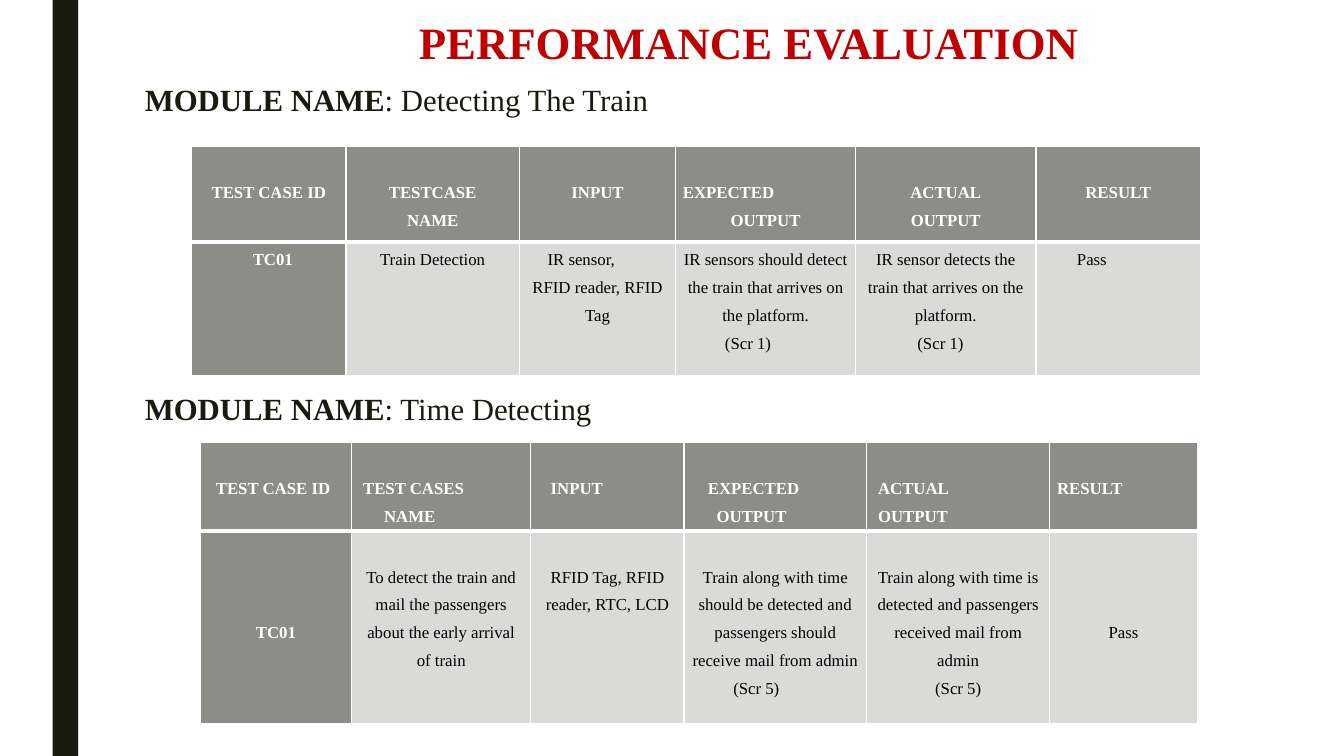
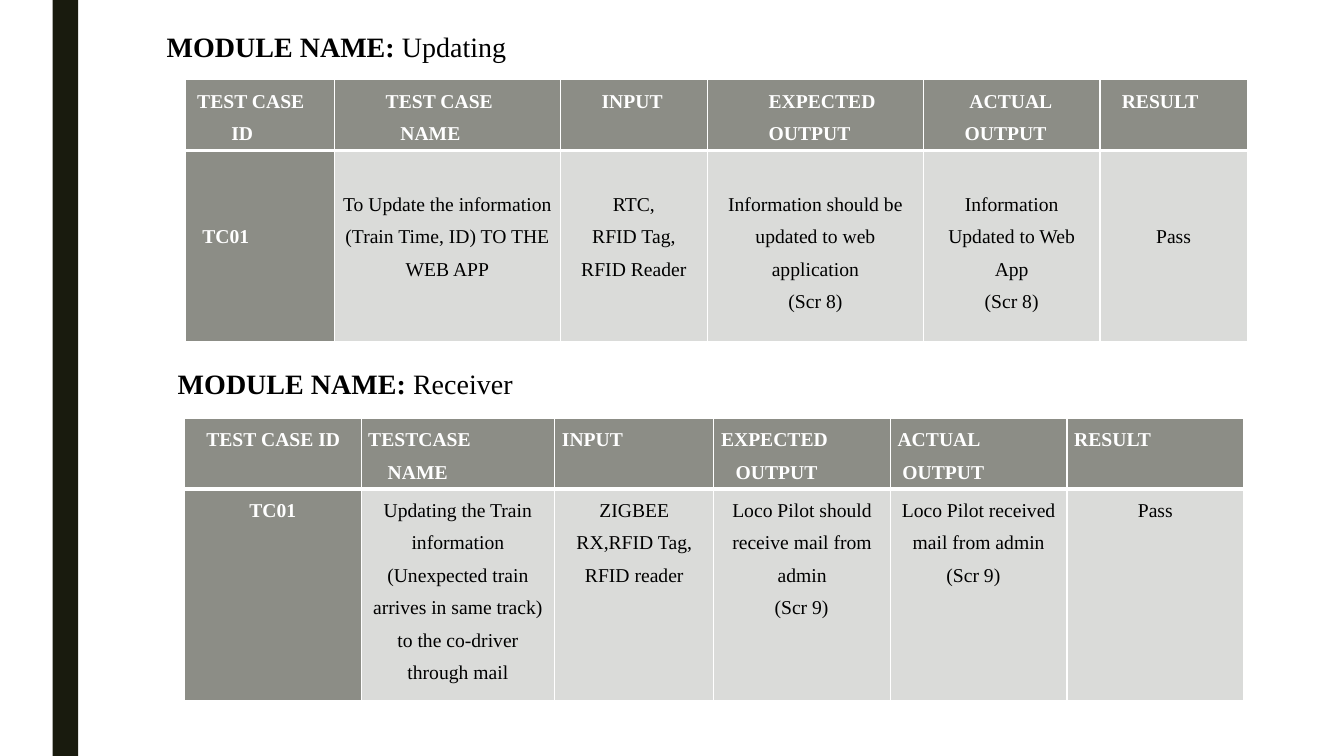
from dataclasses import dataclass

from lxml.etree import SubElement
from pptx import Presentation
from pptx.dml.color import RGBColor
from pptx.enum.shapes import MSO_SHAPE
from pptx.enum.text import MSO_ANCHOR, PP_ALIGN
from pptx.oxml.ns import qn
from pptx.util import Cm, Pt


@dataclass(frozen=True)
class Theme:
    font: str = "Times New Roman"
    ink: str = "191B0E"
    black: str = "000000"
    white: str = "FFFFFF"
    accent: str = "C00000"
    header: str = "8C8D86"
    body: str = "DADBD9"
    title_size: int = 32
    heading_size: int = 22
    small_heading_size: int = 20
    table_size: int = 12
    large_table_size: int = 14
    line_spacing: float = 1.5
    line_height: float = 1.107
    thin: int = 1
    thick: int = 3


THEME = Theme()


@dataclass(frozen=True)
class Entry:
    """Cell lines: a string is centred, a (string, cm) pair is left-aligned with an indent."""
    lines: tuple
    lead: int = 0


def entry(*lines, lead=0):
    return Entry(lines, lead)


def set_formats(target, formats):
    for name, value in formats.items():
        setattr(target, name, value)


def add_run(paragraph, text, size, color, bold):
    run = paragraph.add_run()
    run.text = text
    set_formats(run.font, {"name": THEME.font, "size": Pt(size), "bold": bold})
    run.font.color.rgb = RGBColor.from_string(color)


def add_line(slide, left, top, width, height, runs, size, color, align=PP_ALIGN.LEFT):
    """Add one line of text made of (text, bold) runs."""
    frame = slide.shapes.add_textbox(Cm(left), Cm(top), Cm(width), Cm(height)).text_frame
    set_formats(frame, {
        "word_wrap": True, "vertical_anchor": MSO_ANCHOR.MIDDLE,
        "margin_left": 0, "margin_right": 0, "margin_top": 0, "margin_bottom": 0,
    })
    paragraph = frame.paragraphs[0]
    paragraph.alignment = align
    for text, bold in runs:
        add_run(paragraph, text, size, color, bold)


def add_title(slide, text):
    add_line(slide, 8.87, 0.36, 20, 1.4, [(text, True)],
             THEME.title_size, THEME.accent, PP_ALIGN.CENTER)


def add_heading(slide, left, top, label, module, size, color):
    add_line(slide, left, top, 18, 1.1, [(label, True), (module, False)], size, color)


def add_side_bar(slide):
    bar = slide.shapes.add_shape(MSO_SHAPE.RECTANGLE, Cm(1.33), 0, Cm(0.64), Cm(19.05))
    bar.shadow.inherit = False
    bar.fill.solid()
    bar.fill.fore_color.rgb = RGBColor.from_string(THEME.ink)
    bar.line.fill.background()


def add_borders(cell, top, bottom):
    properties = cell._tc.get_or_add_tcPr()
    widths = {"a:lnL": THEME.thin, "a:lnR": THEME.thin, "a:lnT": top, "a:lnB": bottom}
    for tag, width in widths.items():
        border = SubElement(properties, qn(tag), w=str(Pt(width)))
        fill = SubElement(border, qn("a:solidFill"))
        SubElement(fill, qn("a:srgbClr"), val=THEME.white)


def fill_cell(cell, content, size, is_header, is_dark):
    add_borders(cell, THEME.thin if is_header else THEME.thick,
                THEME.thick if is_header else THEME.thin)
    cell.fill.solid()
    cell.fill.fore_color.rgb = RGBColor.from_string(THEME.header if is_dark else THEME.body)
    line_step = size * THEME.line_height * THEME.line_spacing
    set_formats(cell, {
        "margin_left": Cm(0.18), "margin_right": Cm(0.18),
        "margin_top": Pt(content.lead * line_step), "margin_bottom": 0,
    })
    frame = cell.text_frame
    for index, line in enumerate(content.lines):
        paragraph = frame.add_paragraph() if index else frame.paragraphs[0]
        centred = isinstance(line, str)
        text, indent = (line, 0) if centred else line
        set_formats(paragraph, {
            "alignment": PP_ALIGN.CENTER if centred else PP_ALIGN.LEFT,
            "line_spacing": THEME.line_spacing,
        })
        if indent:
            paragraph._p.get_or_add_pPr().set("marL", str(Cm(indent)))
        add_run(paragraph, text, size, THEME.white if is_dark else THEME.black, is_dark)


def add_test_table(slide, left, top, widths, heights, rows, size):
    table = slide.shapes.add_table(
        len(rows), len(widths), Cm(left), Cm(top), Cm(sum(widths)), Cm(sum(heights))).table
    set_formats(table, {"first_row": False, "horz_banding": False})
    for column, width in zip(table.columns, widths):
        column.width = Cm(width)
    for row_index, (height, entries) in enumerate(zip(heights, rows)):
        table.rows[row_index].height = Cm(height)
        for column_index, content in enumerate(entries):
            is_header = row_index == 0
            fill_cell(table.cell(row_index, column_index), content, size,
                      is_header, is_header or column_index == 0)


TRAIN_DETECTION = [
    [entry("TEST CASE ID", lead=1),
     entry("TESTCASE", "NAME", lead=1),
     entry("INPUT", lead=1),
     entry(("EXPECTED", 0), "OUTPUT", lead=1),
     entry("ACTUAL", "OUTPUT", lead=1),
     entry("RESULT", lead=1)],
    [entry(("TC01", 1.36)),
     entry("Train Detection"),
     entry(("IR sensor,", 0.53), "RFID reader, RFID Tag"),
     entry("IR sensors should detect the train that arrives on the platform.",
           ("(Scr 1)", 1.06)),
     entry("IR sensor detects the train that arrives on the platform.", ("(Scr 1)", 1.38)),
     entry(("Pass", 0.85))],
]

TIME_DETECTION = [
    [entry(("TEST CASE ID", 0.21), lead=1),
     entry(("TEST CASES", 0.11), ("NAME", 0.64), lead=1),
     entry(("INPUT", 0.32), lead=1),
     entry(("EXPECTED", 0.42), ("OUTPUT", 0.64), lead=1),
     entry(("ACTUAL", 0.11), ("OUTPUT", 0.11), lead=1),
     entry(("RESULT", 0), lead=1)],
    [entry("TC01", lead=3),
     entry("To detect the train and mail the passengers about the early arrival of train",
           lead=1),
     entry("RFID Tag, RFID reader, RTC, LCD", lead=1),
     entry("Train along with time should be detected and passengers should "
           "receive mail from admin", ("(Scr 5)", 1.06), lead=1),
     entry("Train along with time is detected and passengers received mail from admin",
           "(Scr 5)", lead=1),
     entry("Pass", lead=3)],
]

UPDATING = [
    [entry(("TEST CASE", 0.12), ("ID", 0.98)),
     entry(("TEST CASE", 1.11), ("NAME", 1.48)),
     entry(("INPUT", 0.86)),
     entry(("EXPECTED", 1.36), ("OUTPUT", 1.36)),
     entry(("ACTUAL", 0.98), ("OUTPUT", 0.86)),
     entry(("RESULT", 0.37))],
    [entry(("TC01", 0.25), lead=2),
     entry("To Update the information", "(Train Time, ID) TO THE WEB APP", lead=1),
     entry("RTC,", "RFID Tag, RFID Reader", lead=1),
     entry("Information should be updated to web application", "(Scr 8)", lead=1),
     entry("Information Updated to Web App", "(Scr 8)", lead=1),
     entry("Pass", lead=2)],
]

RECEIVER = [
    [entry(("TEST CASE ID", 0.37)),
     entry(("TESTCASE", 0), ("NAME", 0.49)),
     entry(("INPUT", 0)),
     entry(("EXPECTED", 0), ("OUTPUT", 0.37)),
     entry(("ACTUAL", 0), ("OUTPUT", 0.12)),
     entry(("RESULT", 0))],
    [entry("TC01"),
     entry("Updating the Train information (Unexpected train arrives in same track) "
           "to the co-driver through mail"),
     entry("ZIGBEE RX,RFID Tag, RFID reader"),
     entry("Loco Pilot should receive mail from admin", ("(Scr 9)", 1.35)),
     entry("Loco Pilot received mail from admin", ("(Scr 9)", 1.23)),
     entry("Pass")],
]


def add_detection_slide(slide):
    add_title(slide, "PERFORMANCE EVALUATION")
    style = (THEME.heading_size, THEME.ink)
    add_heading(slide, 3.65, 1.95, "MODULE NAME", ": Detecting The Train", *style)
    add_test_table(slide, 4.83, 3.68, [3.89, 4.37, 3.94, 4.53, 4.55, 4.14],
                   [2.41, 3.38], TRAIN_DETECTION, THEME.table_size)
    add_heading(slide, 3.65, 9.73, "MODULE NAME", ": Time Detecting", *style)
    add_test_table(slide, 5.05, 11.15, [3.81, 4.52, 3.86, 4.6, 4.62, 3.71],
                   [2.11, 4.85], TIME_DETECTION, THEME.table_size)


def add_messaging_slide(slide):
    style = (THEME.small_heading_size, THEME.black)
    add_heading(slide, 4.2, 0.61, "MODULE NAME: ", "Updating", *style)
    add_test_table(slide, 4.67, 2.01, [3.76, 5.69, 3.71, 5.44, 4.45, 3.71],
                   [1.7, 4.83], UPDATING, THEME.large_table_size)
    add_heading(slide, 4.48, 9.12, "MODULE NAME: ", "Receiver", *style)
    add_test_table(slide, 4.65, 10.54, [4.45, 4.88, 4.01, 4.45, 4.45, 4.45],
                   [1.63, 5.1], RECEIVER, THEME.large_table_size)


def main():
    presentation = Presentation()
    set_formats(presentation, {"slide_width": Cm(33.87), "slide_height": Cm(19.05)})
    for add_content in (add_detection_slide, add_messaging_slide):
        slide = presentation.slides.add_slide(presentation.slide_layouts[6])
        add_side_bar(slide)
        add_content(slide)
    presentation.save("out.pptx")


if __name__ == "__main__":
    main()
